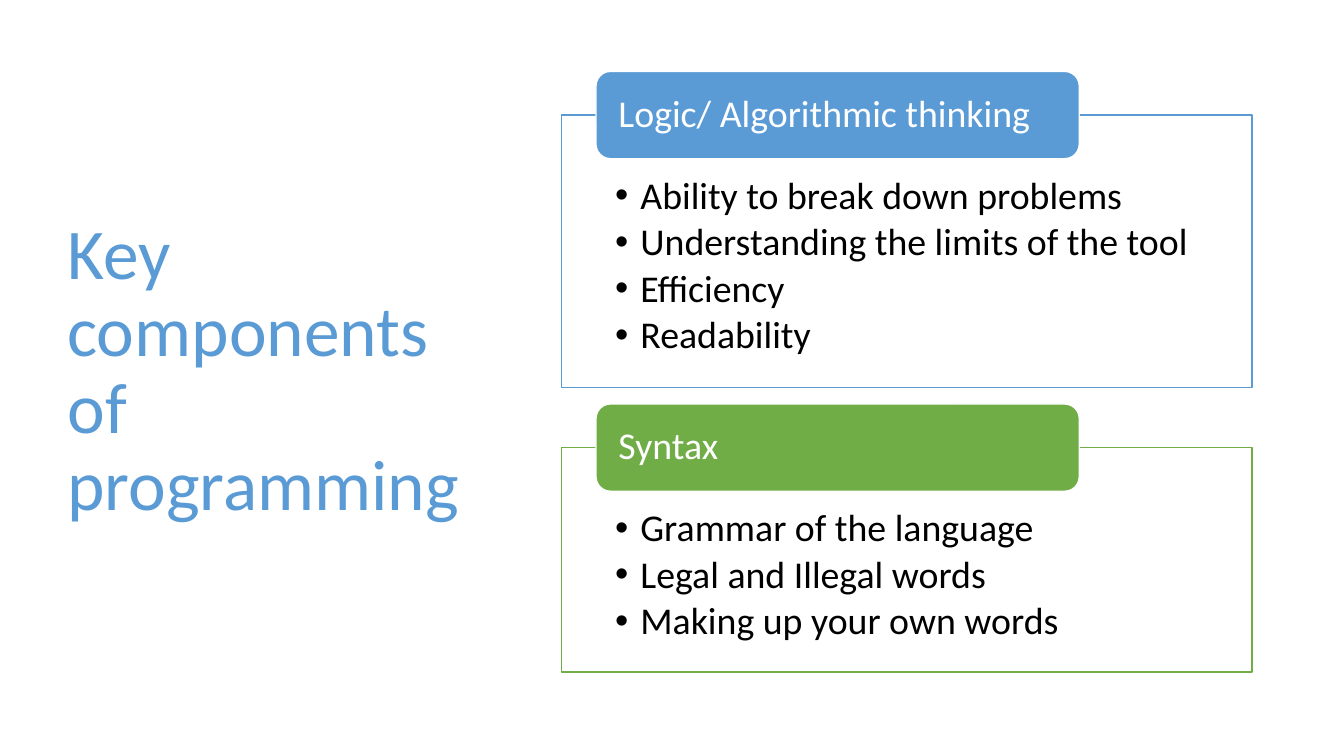
from dataclasses import dataclass

from lxml.etree import SubElement
from pptx import Presentation
from pptx.dml.color import RGBColor as Rgb
from pptx.enum.shapes import MSO_SHAPE as Shape
from pptx.enum.text import MSO_ANCHOR as Anchor, PP_ALIGN as Align
from pptx.oxml.ns import qn
from pptx.util import Cm, Pt


@dataclass(frozen=True)
class Theme:
    """Colours, font and type sizes of the slide."""
    blue: Rgb = Rgb(0x5B, 0x9B, 0xD5)
    green: Rgb = Rgb(0x70, 0xAD, 0x47)
    white: Rgb = Rgb(0xFF, 0xFF, 0xFF)
    black: Rgb = Rgb(0, 0, 0)
    face: str = "Calibri"
    title: Pt = Pt(51)
    body: Pt = Pt(27)


THEME = Theme()


def write(frame, lines, size, color, after=0, bullet=False):
    """Fill a text frame with left-aligned paragraphs."""
    frame.word_wrap = True
    for i, line in enumerate(lines):
        para = frame.add_paragraph() if i else frame.paragraphs[0]
        para.text = line
        para.alignment = Align.LEFT
        para.line_spacing = 0.9
        para.space_after = Pt(after)
        para.font.name = THEME.face
        para.font.size = size
        para.font.color.rgb = color
        if bullet:
            props = para._p.get_or_add_pPr()
            props.set("marL", str(Cm(0.64)))
            props.set("indent", str(-Cm(0.64)))
            SubElement(props, qn("a:buFont"), typeface="Arial")
            SubElement(props, qn("a:buChar"), char="•")


def pad(frame, left, top, right, bottom):
    """Set the four margins of a text frame."""
    frame.margin_left, frame.margin_top = left, top
    frame.margin_right, frame.margin_bottom = right, bottom


def block(slide, kind, box, fill, line):
    """Add a filled, outlined shape without shadow."""
    shape = slide.shapes.add_shape(kind, *box)
    shape.shadow.inherit = False
    shape.fill.solid()
    shape.fill.fore_color.rgb = fill
    shape.line.color.rgb = line
    shape.line.width = Pt(1)
    return shape


def heading(slide, box, text):
    """Place the slide title, centred in height."""
    frame = slide.shapes.add_textbox(*box).text_frame
    frame.vertical_anchor = Anchor.MIDDLE
    write(frame, [text], THEME.title, THEME.blue)


def panel(slide, box, color, label, items):
    """Draw a bullet box with a label tab across its top edge."""
    left, top, width, _ = box
    frame = block(slide, Shape.RECTANGLE, box, THEME.white, color).text_frame
    frame.vertical_anchor = Anchor.TOP
    pad(frame, Cm(1.35), Cm(1.55), Cm(1.35), Cm(0.53))
    write(frame, items, THEME.body, THEME.black, 4, True)

    high = Cm(2.2)
    tab = (left + int(width * 0.05), top - high // 2, int(width * 0.7), high)
    frame = block(slide, Shape.ROUNDED_RECTANGLE, tab, color, THEME.white).text_frame
    frame.vertical_anchor = Anchor.MIDDLE
    pad(frame, Cm(0.46), 0, Cm(0.46), 0)
    write(frame, [label], THEME.body, THEME.white)


def main():
    """Build and save the slide."""
    deck = Presentation()
    deck.slide_width, deck.slide_height = Cm(33.87), Cm(19.05)
    slide = deck.slides.add_slide(deck.slide_layouts[6])
    heading(slide, (Cm(1.45), Cm(1.73), Cm(10.57), Cm(15.29)),
            "Key components of programming")

    parts = [
        (THEME.blue, Cm(6.86), "Logic/ Algorithmic thinking",
         ["Ability to break down problems",
          "Understanding the limits of the tool",
          "Efficiency", "Readability"]),
        (THEME.green, Cm(5.66), "Syntax",
         ["Grammar of the language", "Legal and Illegal words",
          "Making up your own words"]),
    ]
    top = Cm(2.9)
    for color, high, label, items in parts:
        panel(slide, (Cm(14.15), top, Cm(17.4), high), color, label, items)
        top += high + Cm(1.52)
    deck.save("out.pptx")


if __name__ == "__main__":
    main()
